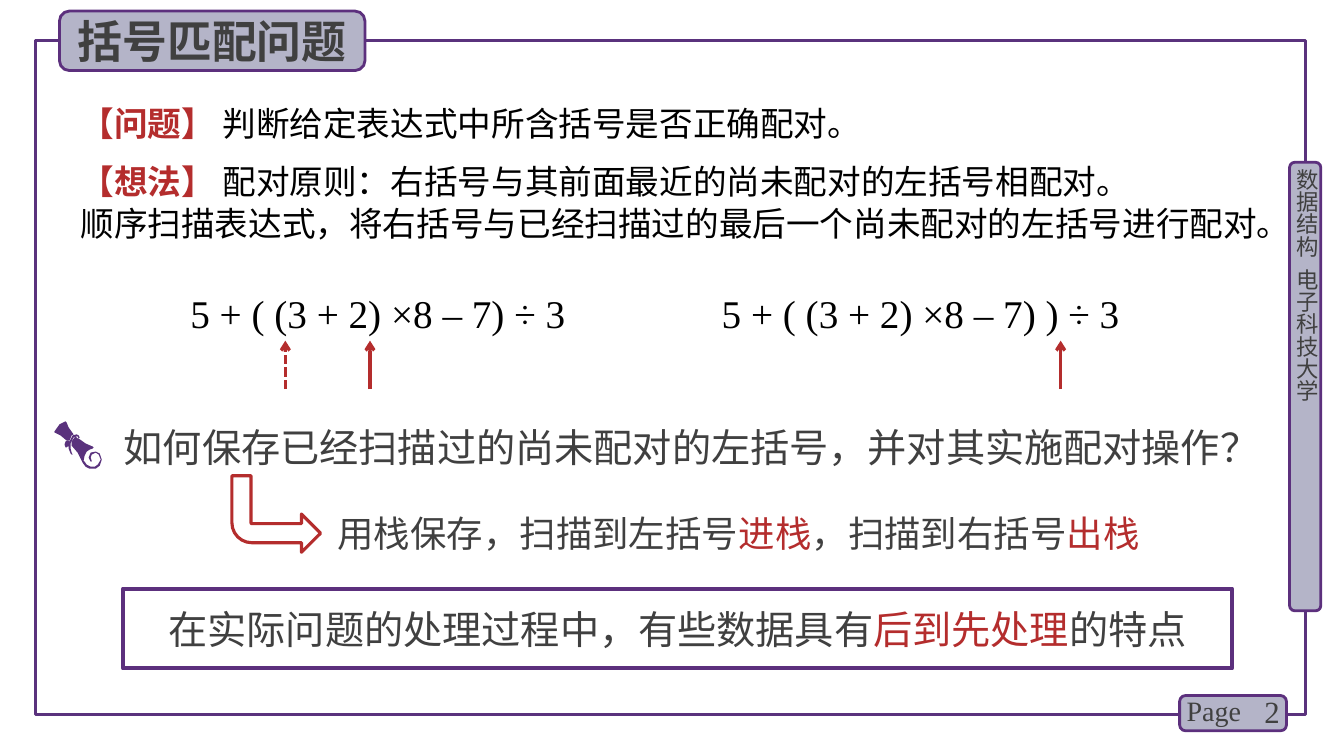
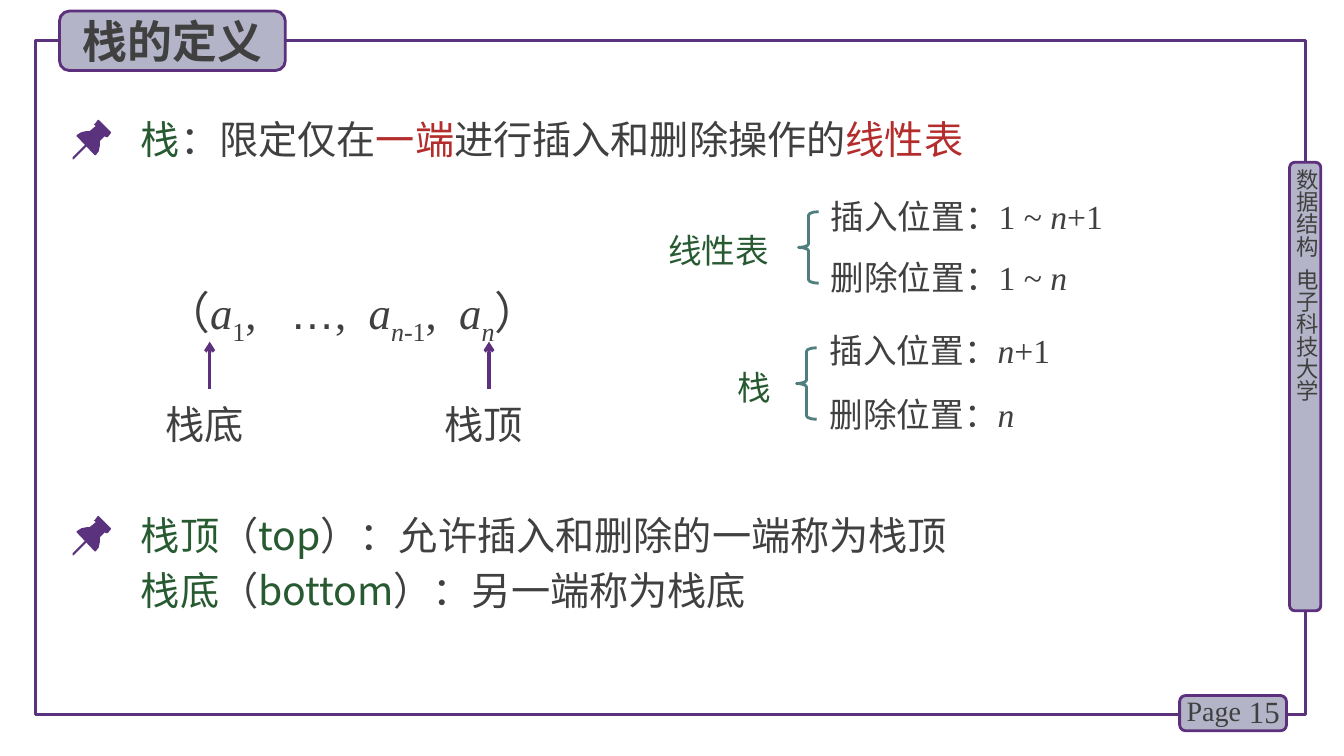
from lxml.etree import SubElement
from pptx import Presentation
from pptx.dml.color import RGBColor
from pptx.enum.dml import MSO_LINE
from pptx.enum.shapes import MSO_CONNECTOR, MSO_SHAPE
from pptx.enum.text import MSO_ANCHOR, PP_ALIGN
from pptx.oxml.ns import qn
from pptx.util import Inches, Pt

COLORS = {
    "frame": "5A327D", "edge": "5C307D", "badge": "B4B4C8", "text": "404040",
    "black": "000000", "red": "B42D2D", "green": "285A32", "teal": "507D7D",
}
SERIF, SANS = "Times New Roman", "Noto Sans CJK SC"
RED, GREEN, BLACK = {"color": "red"}, {"color": "green"}, {"color": "black"}
LABEL = {"color": "red", "bold": True}
ITALIC = {"italic": True}
SUB = {"sub": True}
ITALIC_SUB = {**ITALIC, **SUB}

SIDE_RUNS = ["数据结构", (" ", {"spread": 4}), "电子科技大学"]

PROBLEM = [[("【问题】 ", LABEL), ("判断给定表达式中所含括号是否正确配对。", BLACK)]]
IDEA = [
    [("【想法】 ", LABEL), ("配对原则：右括号与其前面最近的尚未配对的左括号相配对。", BLACK)],
    [("顺序扫描表达式，将右括号与已经扫描过的最后一个尚未配对的左括号进行配对。", BLACK)],
]
EXPRESSIONS = [
    (1.79, 4.23, "5 + ( (3 + 2) ×8 – 7) ÷ 3"),
    (7.06, 5.06, "5 + ( (3 + 2) ×8 – 7) ) ÷ 3"),
]
BRACKET_ARROWS = [(3.67, False), (2.83, True), (10.52, False)]
QUESTION = [["如何保存已经扫描过的尚未配对的左括号，并对其实施配对操作？"]]
ANSWER = [["用栈保存，扫描到左括号", ("进栈", RED), "，扫描到右括号", ("出栈", RED)]]
CONCLUSION = [["在实际问题的处理过程中，有些数据具有", ("后到先处理", RED), "的特点"]]

DEFINITION = [[("栈", GREEN), "：限定仅在", ("一端", RED), "进行插入和删除操作的", ("线性表", RED)]]
ENDS = [
    [("栈顶", GREEN), "（", ("top", GREEN), "）：允许插入和删除的一端称为栈顶"],
    [("栈底", GREEN), "（", ("bottom", GREEN), "）：另一端称为栈底"],
]
SEQUENCE = [[
    "（", ("a", ITALIC), ("1", SUB), (", ", {"spread": 8}), ("…", {"font": "Arial"}),
    (", ", {"spread": 4}), ("a", ITALIC), ("n", ITALIC_SUB), ("-1", SUB),
    (", ", {"spread": 4}), ("a", ITALIC), ("n", ITALIC_SUB), "）",
]]
POINTERS = [(2.08, "栈底"), (4.85, "栈顶")]
N = ("n", ITALIC)
COMPARISONS = [
    {"name": "线性表", "name_at": (6.53, 2.23, 1.42), "brace": (7.92, 2.1), "left": 8.14,
     "rows": [(1.89, ["插入位置：1 ~ ", N, "+1"]), (2.5, ["删除位置：1 ~ ", N])]},
    {"name": "栈", "name_at": (7.22, 3.59, 0.72), "brace": (7.9, 3.45), "left": 8.13,
     "rows": [(3.22, ["插入位置：", N, "+1"]), (3.86, ["删除位置：", N])]},
]

PIN = [
    [(39, 12), (27, 0), (26, 0), (23, 4), (22, 4), (23, 5), (24, 6), (18, 11), (15, 11),
     (10, 12), (5, 15), (5, 16), (23, 35), (24, 35), (27, 31), (28, 26), (28, 21),
     (33, 16), (34, 17), (36, 17), (39, 13)],
    [(2, 39), (1, 39), (1, 37), (14, 24), (15, 24), (15, 26)],
]
SCROLL = [
    [(15, 19), (16, 19), (18, 14), (20, 13), (15, 6), (13, 1), (12, 0), (6, 3), (1, 10),
     (1, 11), (7, 14), (13, 19)],
    [(46, 32), (42, 30), (37, 31), (35, 36), (37, 40), (38, 40), (38, 39), (37, 36),
     (38, 33), (42, 31), (45, 33), (47, 38), (44, 43), (41, 45), (37, 45), (33, 43),
     (31, 40), (30, 39), (31, 34), (33, 30), (36, 28), (39, 27), (40, 26), (39, 25),
     (32, 22), (25, 17), (24, 17), (22, 15), (21, 16), (18, 20), (18, 24), (24, 31),
     (28, 39), (29, 41), (32, 45), (36, 47), (38, 47), (42, 47), (46, 44), (48, 38)],
    [(18, 33), (17, 32), (15, 27), (15, 25), (14, 25), (13, 26), (12, 26), (11, 23),
     (12, 20), (14, 19), (16, 20), (19, 14), (23, 13), (25, 14), (26, 16), (25, 17),
     (24, 15), (23, 15), (20, 16), (18, 20), (17, 22), (17, 27), (18, 31), (19, 33)],
]


def rgb(name):
    return RGBColor.from_string(COLORS[name])


def style_run(span, size, font, color="text", bold=False, italic=False, sub=False, spread=0):
    span.font.size = Pt(size)
    span.font.name = font
    span.font.bold = bold
    span.font.italic = italic
    span.font.color.rgb = rgb(color)
    properties = span.font._element
    SubElement(properties, qn("a:ea")).set("typeface", SANS)
    if sub:
        properties.set("baseline", "-25000")
    if spread:
        properties.set("spc", str(spread * 100))


def write(shape, paragraphs, size, font=SERIF, align=PP_ALIGN.LEFT,
          anchor=MSO_ANCHOR.TOP, line=None, gap=0):
    frame = shape.text_frame
    frame.word_wrap = True
    frame.vertical_anchor = anchor
    for index, runs in enumerate(paragraphs):
        para = frame.add_paragraph() if index else frame.paragraphs[0]
        para.alignment = align
        if line:
            para.line_spacing = Pt(line)
        if index and gap:
            para.space_before = Pt(gap)
        for item in runs:
            text, options = (item, {}) if isinstance(item, str) else item
            span = para.add_run()
            span.text = text
            style_run(span, size, **{"font": font, **options})


def add_text(page, at, paragraphs, size, **options):
    box = page.shapes.add_textbox(*map(Inches, at))
    write(box, paragraphs, size, **options)
    return box


def add_box(page, kind, at, line, width, fill=None):
    shape = page.shapes.add_shape(kind, *map(Inches, at))
    shape.shadow.inherit = False
    if fill:
        shape.fill.solid()
        shape.fill.fore_color.rgb = rgb(fill)
    else:
        shape.fill.background()
    shape.line.color.rgb = rgb(line)
    shape.line.width = Pt(width)
    return shape


def add_badge(page, at):
    return add_box(page, MSO_SHAPE.ROUNDED_RECTANGLE, at, "edge", 2, "badge")


def add_up_arrow(page, x, top, color, dashed=False):
    arrow = page.shapes.add_connector(
        MSO_CONNECTOR.STRAIGHT, Inches(x), Inches(3.86), Inches(x), Inches(top))
    arrow.line.color.rgb = rgb(color)
    arrow.line.width = Pt(2.25)
    if dashed:
        arrow.line.dash_style = MSO_LINE.SQUARE_DOT
    SubElement(arrow.line._get_or_add_ln(), qn("a:tailEnd")).set("type", "arrow")
    SubElement(arrow._element.spPr, qn("a:effectLst"))


def add_icon(page, left, top, outlines):
    for outline in outlines:
        points = [(left * 100 + x, top * 100 + y) for x, y in outline]
        builder = page.shapes.build_freeform(*points[0], scale=Inches(0.01))
        builder.add_line_segments(points[1:], close=True)
        piece = builder.convert_to_shape()
        piece.shadow.inherit = False
        piece.fill.solid()
        piece.fill.fore_color.rgb = rgb("frame")
        piece.line.fill.background()


def add_page(deck, title, badge_width, number):
    page = deck.slides.add_slide(deck.slide_layouts[6])
    add_box(page, MSO_SHAPE.RECTANGLE, (0.35, 0.4, 12.6, 6.69), "frame", 2.25)
    add_badge(page, (12.79, 1.61, 0.31, 4.45))
    side = add_text(page, (12.83, 1.67, 0.27, 4.49), [SIDE_RUNS], 16, font=SANS)
    frame = side.text_frame
    frame.margin_left = frame.margin_right = frame.margin_top = frame.margin_bottom = 0
    frame._txBody.bodyPr.set("vert", "eaVert")
    add_badge(page, (11.7, 6.9, 1.06, 0.35))
    add_text(page, (12.2, 6.86, 0.59, 0.4), [[str(number)]], 22,
             align=PP_ALIGN.RIGHT, anchor=MSO_ANCHOR.MIDDLE)
    add_text(page, (11.67, 6.83, 0.78, 0.44), [["Page"]], 20)
    badge = add_badge(page, (0.59, 0.11, badge_width, 0.59))
    write(badge, [[(title, {"bold": True})]], 32, font=SANS,
          align=PP_ALIGN.CENTER, anchor=MSO_ANCHOR.MIDDLE)
    return page


def build_matching(deck):
    page = add_page(deck, "括号匹配问题", 3.03, 2)
    add_text(page, (0.7, 0.97, 11.42, 0.5), PROBLEM, 24)
    add_text(page, (0.7, 1.53, 12.12, 0.91), IDEA, 24, line=30)
    for left, width, expression in EXPRESSIONS:
        add_text(page, (left, 2.82, width, 0.57), [[(expression, BLACK)]], 28)
    for x, dashed in BRACKET_ARROWS:
        add_up_arrow(page, x, 3.38, "red", dashed)
    add_icon(page, 0.53, 4.18, SCROLL)
    add_text(page, (1.13, 4.15, 11.62, 0.57), QUESTION, 28)
    bend = add_box(page, MSO_SHAPE.BENT_ARROW, (2.3, 4.72, 0.88, 0.76), "red", 2.25)
    bend._element.spPr.find(qn("a:xfrm")).set("flipV", "1")
    for index, value in enumerate((0.25, 0.25, 0.25, 0.26)):
        bend.adjustments[index] = value
    add_text(page, (3.25, 5.02, 8.97, 0.54), ANSWER, 26)
    banner = add_box(page, MSO_SHAPE.RECTANGLE, (1.22, 5.84, 11, 0.79), "edge", 3)
    write(banner, CONCLUSION, 28, font=SANS, align=PP_ALIGN.CENTER, anchor=MSO_ANCHOR.MIDDLE)


def build_definition(deck):
    page = add_page(deck, "栈的定义", 2.24, 15)
    for top, height, paragraphs in ((1.09, 0.57, DEFINITION), (5.02, 1.14, ENDS)):
        add_icon(page, 0.71, top + 0.1, PIN)
        add_text(page, (1.3, top, 11.3, height), paragraphs, 28, font=SANS, gap=5.6)
    add_text(page, (1.54, 2.78, 4.13, 0.64), SEQUENCE, 32)
    for x, name in POINTERS:
        add_up_arrow(page, x, 3.39, "edge")
        add_text(page, (x - 0.54, 3.92, 1.08, 0.57), [[name]], 28)
    for group in COMPARISONS:
        add_text(page, (*group["name_at"], 0.5), [[(group["name"], GREEN)]], 24)
        brace = add_box(page, MSO_SHAPE.LEFT_BRACE, (*group["brace"], 0.2, 0.71), "teal", 2)
        brace.adjustments[0] = 0.17
        for top, runs in group["rows"]:
            add_text(page, (group["left"], top, 3.56, 0.5), [runs], 24)


def main():
    deck = Presentation()
    deck.slide_width, deck.slide_height = Inches(13.33), Inches(7.5)
    build_matching(deck)
    build_definition(deck)
    deck.save("out.pptx")


if __name__ == "__main__":
    main()
